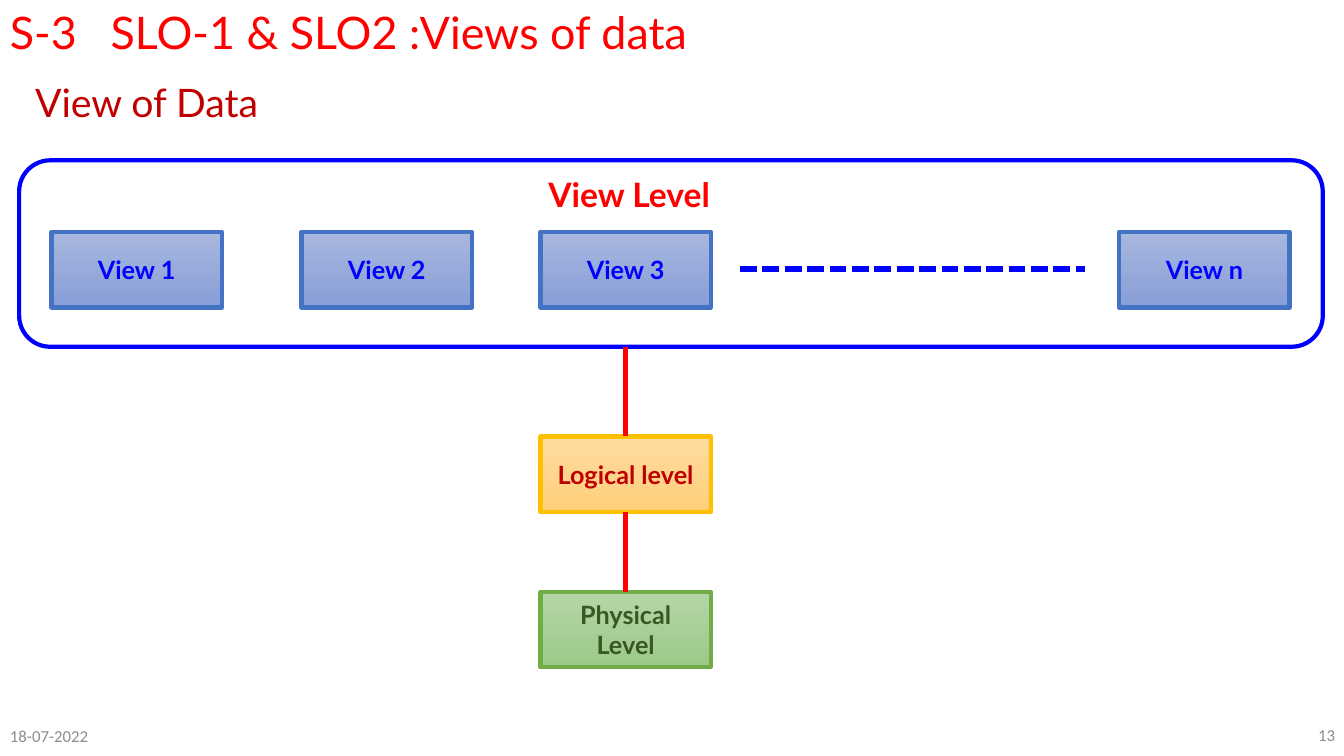
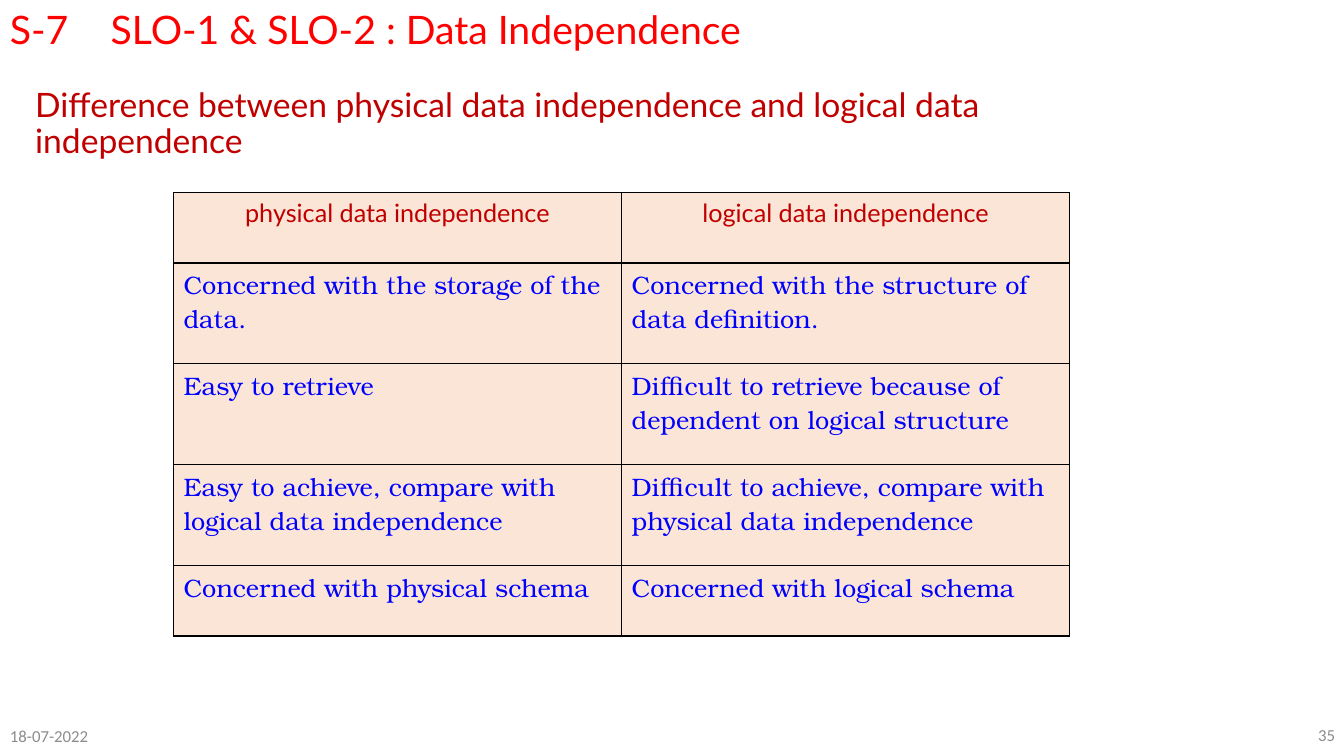
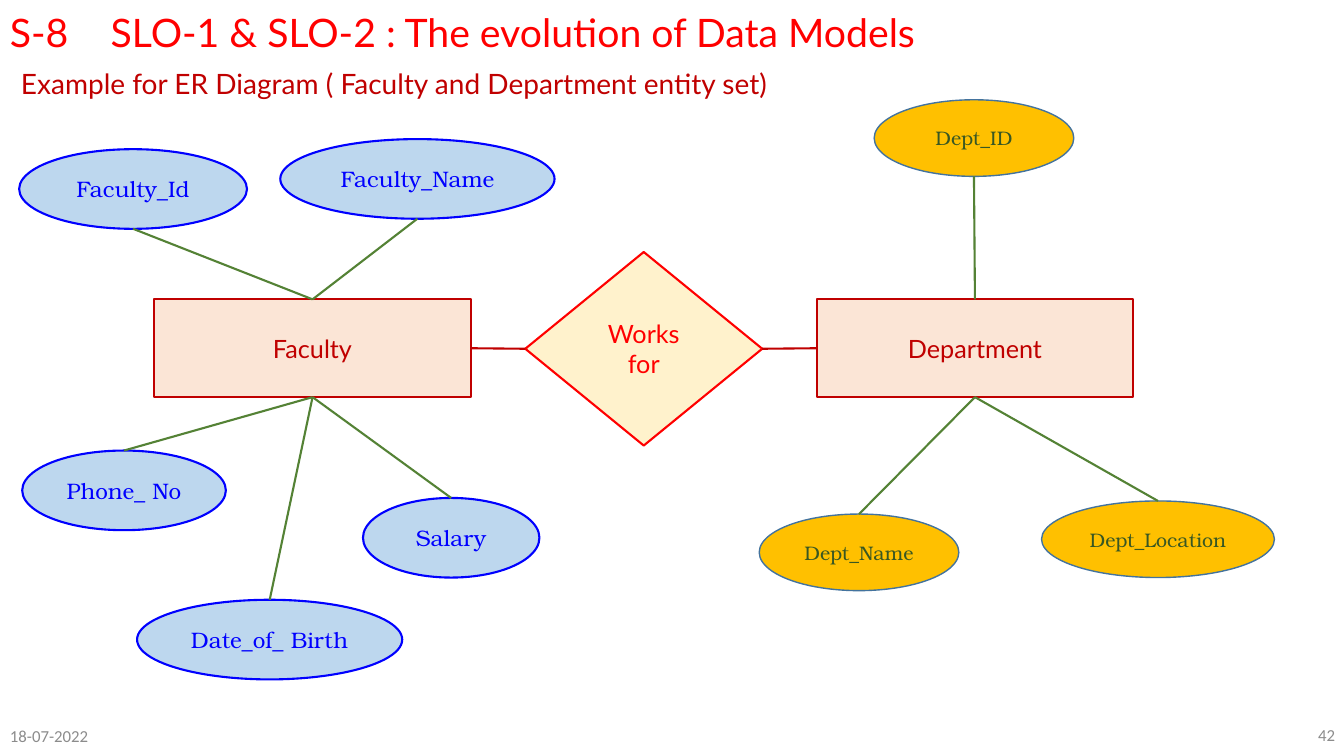
from lxml import etree
from pptx import Presentation
from pptx.dml.color import RGBColor
from pptx.enum.dml import MSO_LINE
from pptx.enum.shapes import MSO_CONNECTOR, MSO_SHAPE
from pptx.enum.text import MSO_ANCHOR, PP_ALIGN
from pptx.oxml.ns import qn
from pptx.util import Inches, Pt

STRAIGHT = MSO_CONNECTOR.STRAIGHT
RECTANGLE, ROUNDED = MSO_SHAPE.RECTANGLE, MSO_SHAPE.ROUNDED_RECTANGLE
ELLIPSE, DIAMOND = MSO_SHAPE.OVAL, MSO_SHAPE.DIAMOND
LEFT, CENTER, RIGHT = PP_ALIGN.LEFT, PP_ALIGN.CENTER, PP_ALIGN.RIGHT
TOP, MIDDLE = MSO_ANCHOR.TOP, MSO_ANCHOR.MIDDLE
SYS_DASH = MSO_LINE.SQUARE_DOT
TOP_SIDE, LEFT_SIDE, BOTTOM_SIDE, RIGHT_SIDE = range(4)

COLORS = {
    "red": "FF0000", "dark red": "C00000", "blue": "0000FF",
    "dark green": "385723", "green": "548235", "grey": "8C8C8C",
    "black": "000000", "peach": "FBE5D6", "cream": "FFF2CC",
    "pale blue": "BDD7EE", "amber": "FFC000", "steel": "43739E",
    "view line": "4472C4", "view top": "A8B7DF", "view bottom": "889ED7",
    "logical top": "FFDB9E", "logical bottom": "FFD07C",
    "physical line": "70AD47", "physical top": "B5D5A7",
    "physical bottom": "9CC987",
}
SANS, SERIF, FOOTER_FONT = "Lato", "TeX Gyre Bonum", "Calibri"

DATE = "18-07-2022"
VIEWS = [("View 1", 0.51), ("View 2", 2.99), ("View 3", 5.36), ("View n", 11.1)]
VIEW_TOP, LEVEL_LEFT, LEVEL_SIZE = 2.3, 5.36, (1.69, 0.75)
LEVELS = [
    ("Logical level", 4.33, "logical", "amber", 3.25, "dark red"),
    ("Physical Level", 5.87, "physical", "physical line", 3, "dark green"),
]

COMPARISON = [
    ("physical data independence", "logical data independence"),
    ("Concerned with the storage of the data.",
     "Concerned with the structure of data definition."),
    ("Easy to retrieve",
     "Difficult to retrieve because of dependent on logical structure"),
    ("Easy to achieve, compare with logical data independence",
     "Difficult to achieve, compare with physical data independence"),
    ("Concerned with physical schema", "Concerned with logical schema"),
]
ROW_HEIGHTS = [0.7, 1, 1, 1, 0.7]

ENTITY_TOP, ENTITY_SIZE = 2.97, (3.14, 0.97)
ENTITIES = [
    {"name": "Faculty", "left": 1.53, "fill": "pale blue", "line": "blue",
     "weight": 1.5, "color": "blue", "size": 16, "height": 0.79,
     "attributes": [("Faculty_Id", 0.19, 1.48, 2.26),
                    ("Faculty_Name", 2.78, 1.38, 2.72),
                    ("Phone_ No", 0.22, 4.47, 2.02),
                    ("Date_of_ Birth", 1.36, 5.95, 2.63),
                    ("Salary", 3.6, 4.94, 1.75)]},
    {"name": "Department", "left": 8.1, "fill": "amber", "line": "steel",
     "weight": 1, "color": "dark green", "size": 14, "height": 0.76,
     "attributes": [("Dept_ID", 8.67, 0.99, 1.98),
                    ("Dept_Name", 7.53, 5.1, 1.98),
                    ("Dept_Location", 10.33, 4.97, 2.31)]},
]


def rgb(name):
    return RGBColor.from_string(COLORS[name])


def write(frame, text, size, color, font=SANS, align=LEFT, bold=False):
    frame.word_wrap = True
    paragraph = frame.paragraphs[0]
    paragraph.text = text
    paragraph.alignment = align
    paragraph.font.name = font
    paragraph.font.size = Pt(size)
    paragraph.font.bold = bold
    paragraph.font.color.rgb = rgb(color)
    return paragraph


def add_text(slide, at, text, size, color, anchor=TOP, **style):
    frame = slide.shapes.add_textbox(*map(Inches, at)).text_frame
    frame.vertical_anchor = anchor
    return write(frame, text, size, color, **style)


def add_box(slide, kind, at, line, weight, fill=None, gradient=None):
    box = slide.shapes.add_shape(kind, *map(Inches, at))
    box.shadow.inherit = False
    box.line.color.rgb = rgb(line)
    box.line.width = Pt(weight)
    if gradient:
        box.fill.gradient()
        box.fill.gradient_angle = 270
        for stop, end in zip(box.fill.gradient_stops, ("top", "bottom")):
            stop.color.rgb = rgb(f"{gradient} {end}")
    elif fill:
        box.fill.solid()
        box.fill.fore_color.rgb = rgb(fill)
    else:
        box.fill.background()
    return box


def add_line(slide, color, weight, start=(0, 0), end=(0, 0),
             begin_at=None, end_at=None, dash=None):
    line = slide.shapes.add_connector(STRAIGHT, *map(Inches, start + end))
    line.line.color.rgb = rgb(color)
    line.line.width = Pt(weight)
    if dash:
        line.line.dash_style = dash
    if begin_at:
        line.begin_connect(*begin_at)
    if end_at:
        line.end_connect(*end_at)
    etree.SubElement(line._element.spPr, qn("a:effectLst"))


def add_page(deck, number, title, title_size, title_top, subtitle, subtitle_size,
             subtitle_at):
    slide = deck.slides.add_slide(deck.slide_layouts[6])
    heading = add_text(slide, (0, title_top, 12, 0.6), title, title_size, "red")
    tabs = etree.SubElement(heading._p.get_or_add_pPr(), qn("a:tabLst"))
    etree.SubElement(tabs, qn("a:tab"), pos=str(Inches(1)), algn="l")
    tabs.getparent().insert(0, tabs)
    add_text(slide, subtitle_at, subtitle, subtitle_size, "dark red").line_spacing = 0.9
    add_text(slide, (0, 7.1, 4.42, 0.4), DATE, 12, "grey", MIDDLE, font=FOOTER_FONT)
    add_text(slide, (8.92, 7.09, 4.42, 0.4), str(number), 12, "grey", MIDDLE,
             font=FOOTER_FONT, align=RIGHT)
    return slide


def build_views(deck):
    slide = add_page(deck, 13, "S-3\tSLO-1 & SLO2 :Views of data", 32, 0,
                     "View of Data", 28, (0.25, 0.78, 11.5, 0.6))
    view_level = add_box(slide, ROUNDED, (0.19, 1.59, 12.93, 1.85), "blue", 3)
    view_level.text_frame.vertical_anchor = TOP
    label = write(view_level.text_frame, "View Level", 24, "red", bold=True)
    label._p.get_or_add_pPr().set("marL", str(Inches(5.06)))
    for name, left in VIEWS:
        view = add_box(slide, RECTANGLE, (left, VIEW_TOP, *LEVEL_SIZE),
                       "view line", 3, gradient="view")
        write(view.text_frame, name, 18, "blue", align=CENTER, bold=True)
    add_line(slide, "blue", 4, (7.34, 2.67), (10.76, 2.67), dash=SYS_DASH)
    center = LEVEL_LEFT + LEVEL_SIZE[0] / 2
    above = None
    for name, top, gradient, line, weight, color in LEVELS:
        level = add_box(slide, RECTANGLE, (LEVEL_LEFT, top, *LEVEL_SIZE),
                        line, weight, gradient=gradient)
        write(level.text_frame, name, 18, color, align=CENTER, bold=True)
        add_line(slide, "red", 3.25, (center, 3.44), (center, top),
                 begin_at=above, end_at=(level, TOP_SIDE))
        above = (level, BOTTOM_SIDE)


def add_borders(cell):
    properties = cell._tc.get_or_add_tcPr()
    for position, side in enumerate(("lnL", "lnR", "lnT", "lnB")):
        border = etree.Element(qn(f"a:{side}"), w=str(Pt(1)))
        fill = etree.SubElement(border, qn("a:solidFill"))
        etree.SubElement(fill, qn("a:srgbClr"), val=COLORS["black"])
        properties.insert(position, border)


def build_comparison(deck):
    slide = add_page(deck, 35, "S-7\tSLO-1 & SLO-2 : Data Independence", 28, 0,
                     "Difference between physical data independence and logical "
                     "data independence", 24, (0.25, 0.83, 11.25, 0.87))
    table = slide.shapes.add_table(
        len(COMPARISON), 2, Inches(1.72), Inches(1.91), Inches(8.89),
        Inches(sum(ROW_HEIGHTS))).table
    table.first_row = table.horz_banding = False
    for r, (texts, height) in enumerate(zip(COMPARISON, ROW_HEIGHTS)):
        table.rows[r].height = Inches(height)
        for c, text in enumerate(texts):
            cell = table.cell(r, c)
            cell.fill.solid()
            cell.fill.fore_color.rgb = rgb("peach")
            add_borders(cell)
            if r == 0:
                write(cell.text_frame, text, 18, "dark red", align=CENTER)
            else:
                write(cell.text_frame, text, 18, "blue", font=SERIF)


def build_er_diagram(deck):
    slide = add_page(deck, 42, "S-8\tSLO-1 & SLO-2 : The evolution of Data Models",
                     28, 0.03,
                     "Example for ER Diagram ( Faculty and Department entity set)",
                     20, (0.11, 0.65, 11.5, 0.49))
    boxes = []
    for entity in ENTITIES:
        box = add_box(slide, RECTANGLE, (entity["left"], ENTITY_TOP, *ENTITY_SIZE),
                      "dark red", 1.5, "peach")
        write(box.text_frame, entity["name"], 18, "dark red", align=CENTER)
        boxes.append(box)
        for name, left, top, width in entity["attributes"]:
            height = entity["height"]
            attribute = add_box(slide, ELLIPSE, (left, top, width, height),
                                entity["line"], entity["weight"], entity["fill"])
            write(attribute.text_frame, name, entity["size"], entity["color"],
                  font=SERIF, align=CENTER)
            is_above = top < ENTITY_TOP
            tip = (left + width / 2, top + height if is_above else top)
            add_line(slide, "green", 1.5, tip, tip,
                     end_at=(box, TOP_SIDE if is_above else BOTTOM_SIDE))
    works_for = add_box(slide, DIAMOND, (5.21, 2.5, 2.35, 1.92), "red", 1.5, "cream")
    write(works_for.text_frame, "Works for", 18, "red", align=CENTER)
    faculty, department = boxes
    for source, target in ((faculty, works_for), (works_for, department)):
        add_line(slide, "dark red", 1.5, begin_at=(source, RIGHT_SIDE),
                 end_at=(target, LEFT_SIDE))


def main():
    deck = Presentation()
    deck.slide_width, deck.slide_height = Inches(13.33), Inches(7.5)
    build_views(deck)
    build_comparison(deck)
    build_er_diagram(deck)
    deck.save("out.pptx")


if __name__ == "__main__":
    main()
